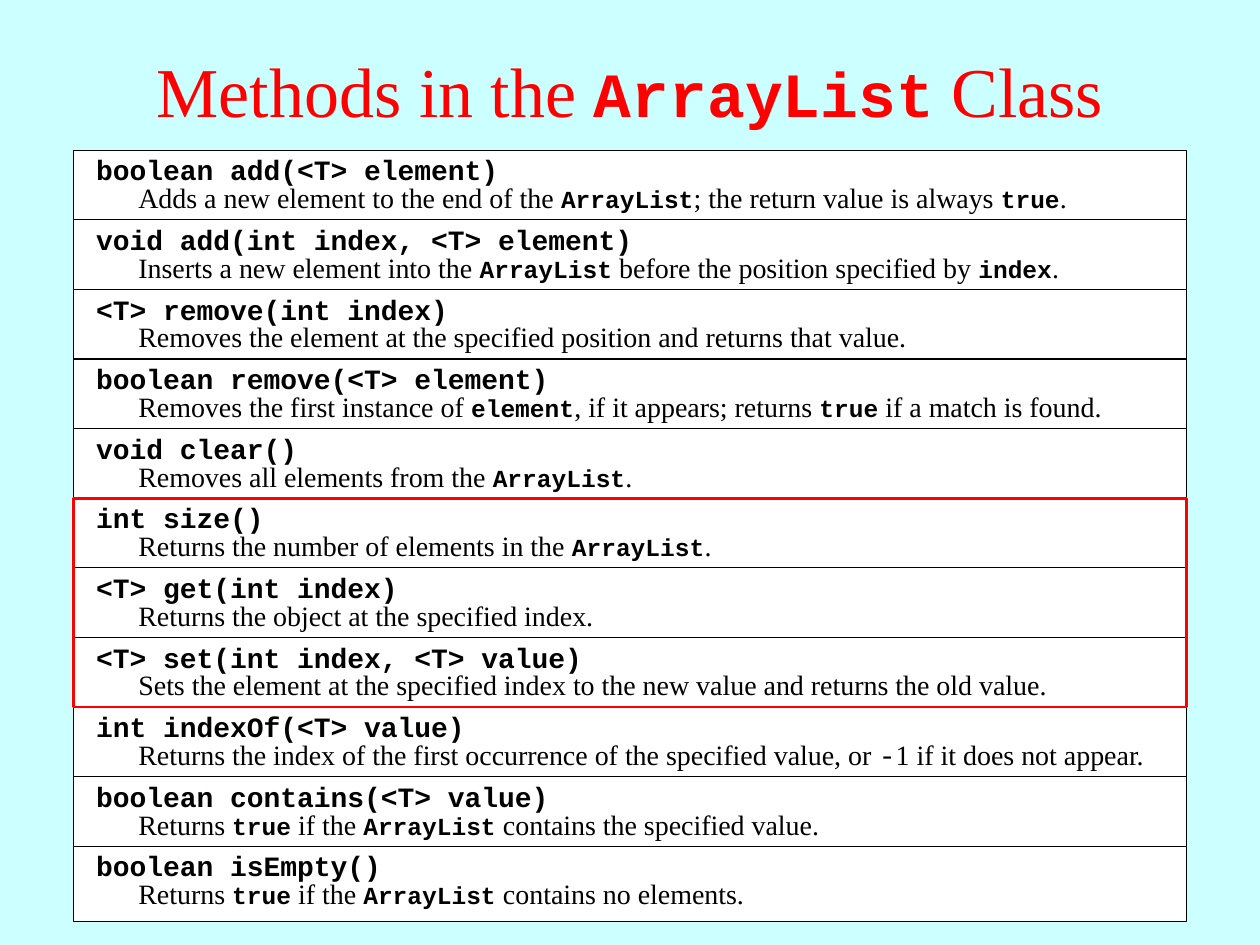
from pptx import Presentation
from pptx import util as u
from pptx.dml.color import RGBColor
from pptx.enum import shapes, text

SERIF, MONO = "Times New Roman", "Courier New"
METHODS = [
    ("boolean add(<T> element)",
     "Adds a new element to the end of the `ArrayList`; the return value is always `true`."),
    ("void add(int index, <T> element)",
     "Inserts a new element into the `ArrayList` before the position specified by `index`."),
    ("<T> remove(int index)",
     "Removes the element at the specified position and returns that value."),
    ("boolean remove(<T> element)",
     "Removes the first instance of `element`, if it appears; returns `true` if a match is found."),
    ("void clear()", "Removes all elements from the `ArrayList`."),
    ("int size()", "Returns the number of elements in the `ArrayList`."),
    ("<T> get(int index)", "Returns the object at the specified index."),
    ("<T> set(int index, <T> value)",
     "Sets the element at the specified index to the new value and returns the old value."),
    ("int indexOf(<T> value)",
     "Returns the index of the first occurrence of the specified value, or `-`1 if it does not appear."),
    ("boolean contains(<T> value)",
     "Returns `true` if the `ArrayList` contains the specified value."),
    ("boolean isEmpty()", "Returns `true` if the `ArrayList` contains no elements."),
]


def color(value):
    return RGBColor.from_string(value)


def add_text(left, top, width, height, content, size, code_size, ink):
    """Add a one-paragraph box; words between backticks are set as code."""
    box = page.shapes.add_textbox(u.Cm(left), u.Cm(top), u.Cm(width), u.Cm(height))
    box.text_frame.word_wrap = True
    para = box.text_frame.paragraphs[0]
    para.font.color.rgb = color(ink)
    for number, piece in enumerate(content.split("`")):
        if not piece:
            continue
        span = para.add_run()
        span.text = piece
        is_code = number % 2 == 1
        is_bold = is_code and piece != "-"  # the minus sign keeps the body weight and size
        span.font.name = MONO if is_code else SERIF
        span.font.size = u.Pt(code_size if is_bold else size)
        span.font.bold = is_bold
        span.font.color.rgb = color(ink)
    return box


deck = Presentation()
deck.slide_width, deck.slide_height = u.Cm(25.4), u.Cm(19.05)
page = deck.slides.add_slide(deck.slide_layouts[6])
page.background.fill.solid()
page.background.fill.fore_color.rgb = color("CCFFFF")

# Title
title = add_text(0, 0.21, 25.4, 3.18, "Methods in the `ArrayList` Class", 40, 36, "FF0000")
title.text_frame.vertical_anchor = text.MSO_ANCHOR.MIDDLE
title.text_frame.paragraphs[0].alignment = text.PP_ALIGN.CENTER

# Method rows: frame, signature, description
left, width, row_height = 1.48, 22.44, 1.52
first_top, last_top = 3.03, 17.06
pitch = (last_top - first_top) / (len(METHODS) - 1)
for row, (signature, description) in enumerate(METHODS):
    top = first_top + row * pitch
    frame = page.shapes.add_shape(shapes.MSO_SHAPE.RECTANGLE, u.Cm(left), u.Cm(top),
                                  u.Cm(width), u.Cm(row_height))
    frame.shadow.inherit = False
    frame.fill.solid()
    frame.fill.fore_color.rgb = color("FFFFFF")
    frame.line.color.rgb = color("000000")
    frame.line.width = u.Pt(0.75)
    for box in (
        add_text(1.69, top - 0.07, 21.8, 0.94, f"`{signature}`", 16, 16, "000000"),
        add_text(2.54, top + 0.49, 21.17, 0.94, description, 16, 14, "000000"),
    ):
        box.text_frame.paragraphs[0].space_before = u.Pt(10)
        box.text_frame.auto_size = text.MSO_AUTO_SIZE.SHAPE_TO_FIT_TEXT

# Red outline around size, get and set
outline = page.shapes.add_shape(shapes.MSO_SHAPE.RECTANGLE, u.Cm(left),
                                u.Cm(first_top + 5 * pitch), u.Cm(width), u.Cm(3 * pitch))
outline.shadow.inherit = False
outline.fill.background()
outline.line.color.rgb = color("FF0000")
outline.line.width = u.Pt(1.5)

deck.save("out.pptx")
